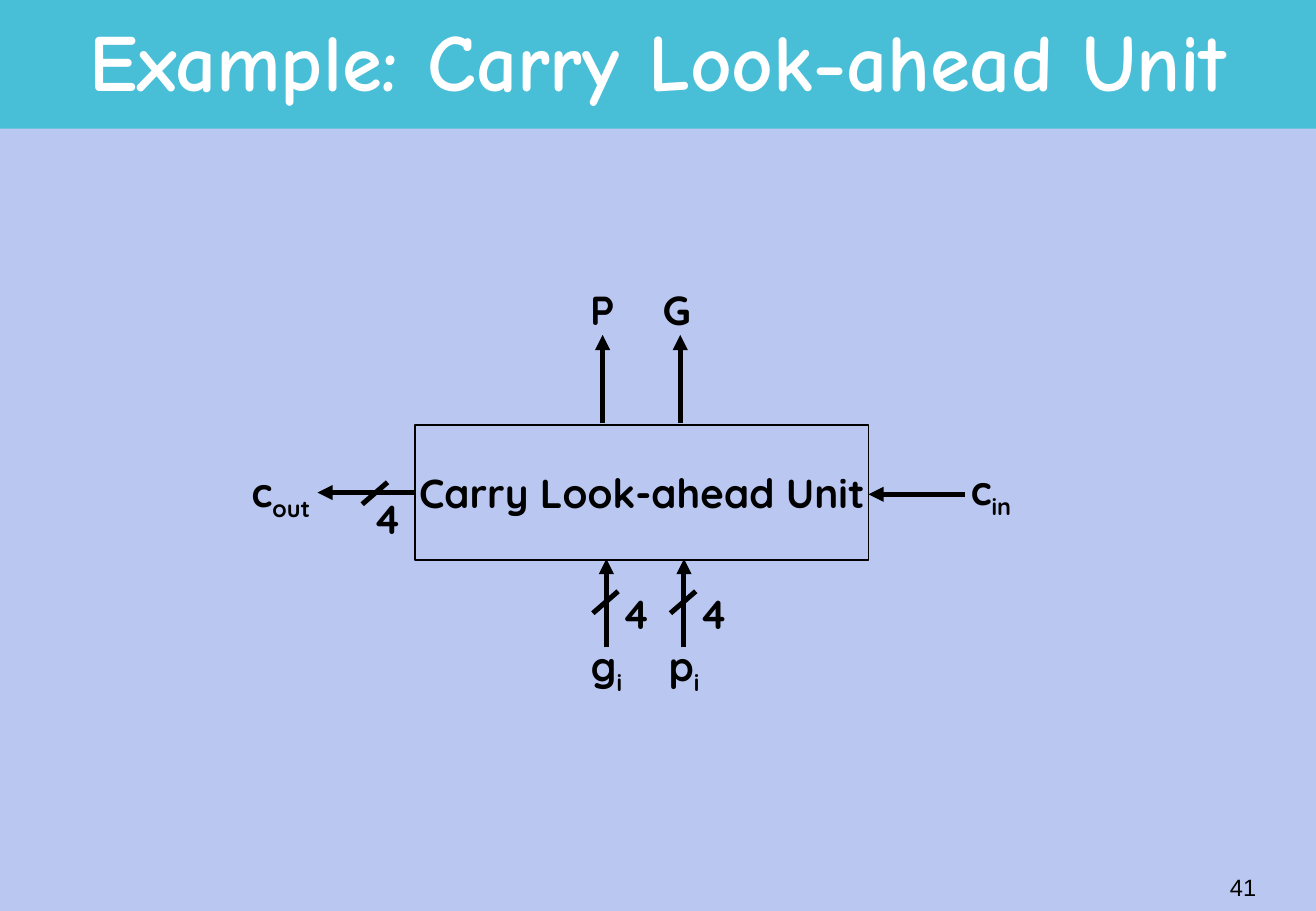
from dataclasses import dataclass

from lxml import etree
from pptx import Presentation
from pptx.dml.color import RGBColor
from pptx.enum import shapes, text
from pptx.oxml import ns
from pptx.util import Pt


@dataclass(frozen=True)
class Theme:
    band: RGBColor = RGBColor(0x49, 0xBF, 0xD7)
    ground: RGBColor = RGBColor(0xBA, 0xC8, 0xF1)
    ink: RGBColor = RGBColor(0, 0, 0)
    light: RGBColor = RGBColor(0xFF, 0xFF, 0xFF)
    title_font: str = "Comic Neue"
    label_font: str = "Quicksand"
    number_font: str = "Arial"
    title_size: int = 48
    label_size: int = 24
    number_size: int = 14
    outline: int = 1
    wire: int = 3


THEME = Theme()


def add_run(paragraph, wording, font, size, color, bold=True, subscript=False):
    run = paragraph.add_run()
    run.text = wording
    run.font.name = font
    run.font.size = Pt(size)
    run.font.bold = bold
    run.font.color.rgb = color
    if subscript:
        run.font._element.set("baseline", "-25000")


def add_block(slide, left, top, width, height, fill):
    block = slide.shapes.add_shape(
        shapes.MSO_SHAPE.RECTANGLE, Pt(left), Pt(top), Pt(width), Pt(height))
    block.shadow.inherit = False
    block.fill.solid()
    block.fill.fore_color.rgb = fill
    return block


def add_wire(slide, start, end, arrow=False):
    wire = slide.shapes.add_connector(
        shapes.MSO_CONNECTOR.STRAIGHT, *(Pt(v) for v in (*start, *end)))
    wire.line.color.rgb = THEME.ink
    wire.line.width = Pt(THEME.wire)
    if arrow:
        etree.SubElement(wire.line._get_or_add_ln(), ns.qn("a:tailEnd"), type="triangle")
    etree.SubElement(wire._element.spPr, ns.qn("a:effectLst"))


def add_label(slide, left, top, width, symbol, index=""):
    label = slide.shapes.add_textbox(Pt(left), Pt(top), Pt(width), Pt(36))
    label.text_frame.word_wrap = False
    paragraph = label.text_frame.paragraphs[0]
    add_run(paragraph, symbol, THEME.label_font, THEME.label_size, THEME.ink)
    if index:
        add_run(paragraph, index, THEME.label_font, THEME.label_size, THEME.ink, subscript=True)


def add_bus_mark(slide, x, y, label_left, label_top):
    add_wire(slide, (x + 7.5, y - 6.5), (x - 7.5, y + 6.5))
    add_label(slide, label_left, label_top, 28, "4")


def title_band(slide, left, top, width, height):
    band = add_block(slide, left, top, width, height, THEME.band)
    band.line.fill.background()
    slide.shapes._spTree.insert(2, band._element)
    title = slide.shapes.title
    title.left, title.top = Pt(left), Pt(top + 3.6)
    title.width, title.height = Pt(width), Pt(height - 5)
    title.text_frame.vertical_anchor = text.MSO_ANCHOR.MIDDLE
    paragraph = title.text_frame.paragraphs[0]
    paragraph.alignment = text.PP_ALIGN.CENTER
    paragraph.line_spacing = 0.85
    add_run(paragraph, "Example: Carry Look-ahead Unit",
            THEME.title_font, THEME.title_size, THEME.light)


def carry_unit(slide, left, top, width, height):
    right, bottom, middle = left + width, top + height, top + height / 2
    reach = 52.5

    unit = add_block(slide, left, top, width, height, THEME.ground)
    unit.line.color.rgb = THEME.ink
    unit.line.width = Pt(THEME.outline)
    frame = unit.text_frame
    frame.word_wrap = False
    frame.vertical_anchor = text.MSO_ANCHOR.MIDDLE
    paragraph = frame.paragraphs[0]
    paragraph.alignment = text.PP_ALIGN.CENTER
    add_run(paragraph, "Carry Look-ahead Unit", THEME.label_font, THEME.label_size, THEME.ink)

    for x, symbol, nudge, span in ((left + 111, "P", 14.5, 28), (left + 157, "G", 17.5, 34.5)):
        add_wire(slide, (x, top - 1), (x, top - 1 - reach), arrow=True)
        add_label(slide, x - nudge, top - 86.5, span, symbol)

    for x, symbol in ((left + 113.2, "g"), (left + 159.2, "p")):
        add_wire(slide, (x, bottom + reach - 0.7), (x, bottom - 0.7), arrow=True)
        add_bus_mark(slide, x - 0.5, bottom + 25, x + 2, bottom + 13.5)
        add_label(slide, x - 16.2, bottom + 44.5, 34.5, symbol, "i")

    add_wire(slide, (right + 57, middle + 1), (right, middle + 1), arrow=True)
    add_label(slide, right + 53.5, middle - 20, 43, "c", "in")

    add_wire(slide, (left - 1, middle), (left - 58, middle), arrow=True)
    add_bus_mark(slide, left - 24, middle + 0.4, left - 32.3, middle - 2.5)
    add_label(slide, left - 104.2, middle - 18.5, 54.5, "c", "out")


def page_number(slide, left, top, width, height):
    number = slide.shapes.add_textbox(Pt(left), Pt(top), Pt(width), Pt(height))
    number.text_frame.word_wrap = False
    number.text_frame.vertical_anchor = text.MSO_ANCHOR.MIDDLE
    paragraph = number.text_frame.paragraphs[0]
    paragraph.alignment = text.PP_ALIGN.RIGHT
    add_run(paragraph, "41", THEME.number_font, THEME.number_size, THEME.ink, bold=False)


def main():
    deck = Presentation()
    deck.slide_width, deck.slide_height = Pt(780), Pt(540)
    slide = deck.slides.add_slide(deck.slide_layouts[5])
    slide.background.fill.solid()
    slide.background.fill.fore_color.rgb = THEME.ground
    title_band(slide, 0, 0, 780, 76.3)
    carry_unit(slide, 246.2, 252, 268.6, 80)
    page_number(slide, 589, 507.6, 162.7, 36)
    deck.save("out.pptx")


if __name__ == "__main__":
    main()
